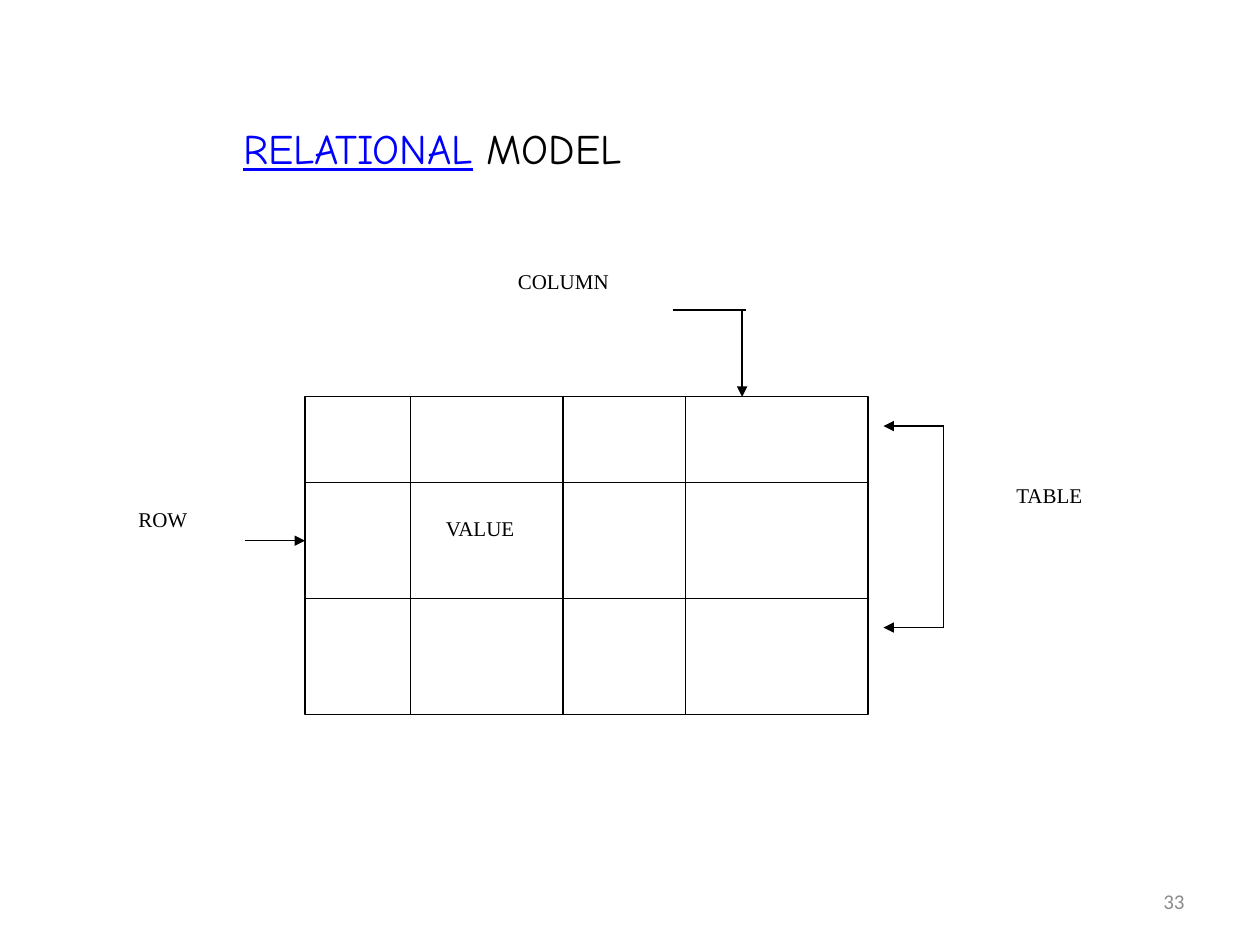
from typing import NamedTuple

from lxml import etree
from pptx import Presentation
from pptx.dml.color import RGBColor
from pptx.enum.shapes import MSO_CONNECTOR, MSO_SHAPE
from pptx.enum.text import MSO_ANCHOR, MSO_AUTO_SIZE, PP_ALIGN
from pptx.oxml.ns import qn
from pptx.util import Cm, Pt

STRAIGHT = MSO_CONNECTOR.STRAIGHT
RECTANGLE = MSO_SHAPE.RECTANGLE
MIDDLE = MSO_ANCHOR.MIDDLE
FIT_SHAPE = MSO_AUTO_SIZE.SHAPE_TO_FIT_TEXT
RIGHT_ALIGNED = PP_ALIGN.RIGHT

COLORS = {"ink": "000000", "link": "0000FF", "number": "8C8C8C"}
LINE_WIDTH = Pt(0.75)

# All lengths below are in centimetres.
LEFT, TOP, RIGHT, BOTTOM = 6.15, 8.0, 17.5, 14.4
COLUMN_EDGES = (8.28, 11.35, 13.82)
ROW_EDGES = (9.73, 12.07)
BRACKET_TIP, BRACKET_SPINE = 17.81, 19.02
BRACKET_TOP, BRACKET_BOTTOM = 8.59, 12.65
COLUMN_ARROW_X, COLUMN_ARROW_Y = 14.96, 6.25
ROW_ARROW_Y = 10.9


class Line(NamedTuple):
    x1: float
    y1: float
    x2: float
    y2: float
    arrow: bool = False


class Label(NamedTuple):
    text: str
    left: float
    top: float
    width: float


GRID_LINES = [Line(x, TOP, x, BOTTOM) for x in COLUMN_EDGES] + [
    Line(LEFT, y, RIGHT, y) for y in ROW_EDGES
]
POINTERS = [
    Line(BRACKET_SPINE, BRACKET_TOP, BRACKET_TIP, BRACKET_TOP, True),
    Line(BRACKET_SPINE, BRACKET_TOP, BRACKET_SPINE, BRACKET_BOTTOM),
    Line(BRACKET_SPINE, BRACKET_BOTTOM, BRACKET_TIP, BRACKET_BOTTOM, True),
    Line(13.56, COLUMN_ARROW_Y, 15.04, COLUMN_ARROW_Y),
    Line(COLUMN_ARROW_X, COLUMN_ARROW_Y, COLUMN_ARROW_X, TOP, True),
    Line(4.93, ROW_ARROW_Y, LEFT, ROW_ARROW_Y, True),
]
LABELS = [
    Label("TABLE", 20.24, 9.6, 1.88),
    Label("ROW", 2.54, 10.08, 1.5),
    Label("COLUMN", 10.19, 5.28, 2.34),
    Label("VALUE", 8.74, 10.26, 1.93),
]


def color(name: str) -> RGBColor:
    return RGBColor.from_string(COLORS[name])


def set_font(font, name: str, size: float, color_name: str) -> None:
    font.name = name
    font.size = Pt(size)
    font.color.rgb = color(color_name)


def add_box(page, left: float, top: float, width: float, height: float, wrap: bool = True):
    box = page.shapes.add_textbox(Cm(left), Cm(top), Cm(width), Cm(height))
    box.text_frame.word_wrap = wrap
    return box.text_frame


def draw_outline(page) -> None:
    outline = page.shapes.add_shape(
        RECTANGLE, Cm(LEFT), Cm(TOP), Cm(RIGHT - LEFT), Cm(BOTTOM - TOP)
    )
    outline.shadow.inherit = False
    outline.fill.background()
    outline.line.color.rgb = color("ink")
    outline.line.width = LINE_WIDTH


def draw_line(page, line: Line) -> None:
    connector = page.shapes.add_connector(
        STRAIGHT, Cm(line.x1), Cm(line.y1), Cm(line.x2), Cm(line.y2)
    )
    connector.line.color.rgb = color("ink")
    connector.line.width = LINE_WIDTH
    properties = connector._element.spPr
    if line.arrow:
        etree.SubElement(properties.find(qn("a:ln")), qn("a:tailEnd"), type="triangle")
    etree.SubElement(properties, qn("a:effectLst"))


def draw_label(page, label: Label) -> None:
    frame = add_box(page, label.left, label.top, label.width, 0.76, wrap=False)
    frame.auto_size = FIT_SHAPE
    para = frame.paragraphs[0]
    para.text = label.text
    set_font(para.font, "Times New Roman", 12, "ink")


def draw_title(page) -> None:
    frame = add_box(page, 4.65, 2.34, 18.62, 1.27)
    frame.auto_size = FIT_SHAPE
    para = frame.paragraphs[0]
    set_font(para.font, "Comic Neue", 24, "ink")
    linked = para.add_run()
    linked.text = "RELATIONAL"
    linked.font.color.rgb = color("link")
    linked.font.underline = True
    para.add_run().text = " MODEL"


def draw_page_number(page) -> None:
    frame = add_box(page, 18.21, 17.65, 5.92, 1.02)
    frame.vertical_anchor = MIDDLE
    para = frame.paragraphs[0]
    para.text = "33"
    para.alignment = RIGHT_ALIGNED
    set_font(para.font, "Calibri", 12, "number")


def main() -> None:
    deck = Presentation()
    deck.slide_width, deck.slide_height = Cm(25.4), Cm(19.05)
    page = deck.slides.add_slide(deck.slide_layouts[6])
    draw_outline(page)
    for line in GRID_LINES + POINTERS:
        draw_line(page, line)
    for label in LABELS:
        draw_label(page, label)
    draw_title(page)
    draw_page_number(page)
    deck.save("out.pptx")


if __name__ == "__main__":
    main()
